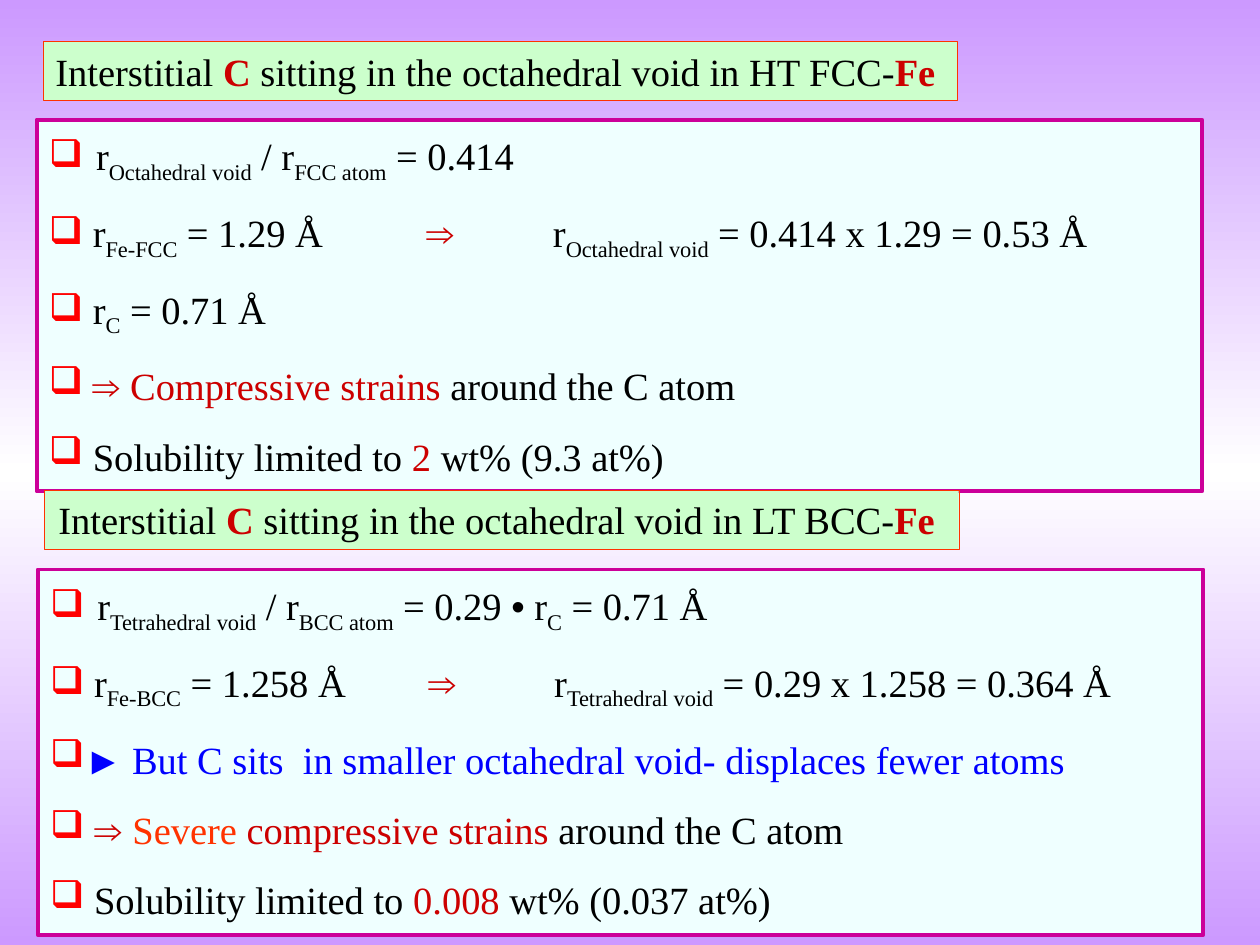
from copy import deepcopy

from lxml import etree
from pptx import Presentation
from pptx.dml.color import RGBColor
from pptx.enum.shapes import MSO_SHAPE
from pptx.enum.text import MSO_ANCHOR, MSO_AUTO_SIZE, PP_ALIGN
from pptx.oxml.ns import qn
from pptx.util import Inches, Pt

RECTANGLE = MSO_SHAPE.RECTANGLE
TOP = MSO_ANCHOR.TOP
GROW = MSO_AUTO_SIZE.SHAPE_TO_FIT_TEXT
CENTER, LEFT = PP_ALIGN.CENTER, PP_ALIGN.LEFT

THEME = {
    "background": [(0, "CC99FF"), (0.5, "FFFFFF"), (1, "CC99FF")],
    "title_fill": "CCFFCC", "title_line": "FF3300",
    "facts_fill": "EFFFFF", "facts_line": "CC0099",
    "bullet": "FF0000",
    "text": "000000", "red": "CC0000", "orange": "FF3300", "blue": "0000FF",
    "font": "Times New Roman", "symbol_font": "Arial", "lead_font": "Comic Neue",
    "size": Pt(22), "gap": Pt(13.8),
}

# Run styles: what differs from plain black text
PLAIN = {}
SUB = {"subscript": True}
RED = {"color": "red"}
BOLD_RED = {"color": "red", "bold": True}
ORANGE = {"color": "orange"}
BLUE = {"color": "blue"}
ARROW = {"color": "red", "font": "symbol_font"}
DOT = {"font": "symbol_font"}
LEAD = {"font": "lead_font"}


def title(phase):
    return [("Interstitial ", PLAIN), ("C ", BOLD_RED),
            (f"sitting in the octahedral void in {phase}-", PLAIN), ("Fe ", BOLD_RED)]


def ratio(void, atom, value):
    return [(" ", LEAD), ("r", PLAIN), (void, SUB), (" / r", PLAIN),
            (atom, SUB), (f" = {value}", PLAIN)]


def void_radius(iron, radius, void, result):
    return [(" r", PLAIN), (iron, SUB), (f" = {radius} Å \t", PLAIN), ("⇒ \t", ARROW),
            ("r", PLAIN), (void, SUB), (f" = {result} Å", PLAIN)]


def solubility(weight, atomic):
    return [(" Solubility limited to ", PLAIN), (weight, RED),
            (f" wt% ({atomic} at%)", PLAIN)]


CARBON_RADIUS = [(" r", PLAIN), ("C", SUB), (" = 0.71 Å", PLAIN)]
AROUND = ("around the C atom", PLAIN)

# Each section: title and its box, facts and their box (left, top, width, height)
SECTIONS = [
    {
        "title": title("HT FCC"), "title_box": (0.34, 0.33, 7.26, 0.47),
        "facts_box": (0.29, 0.95, 9.25, 2.95),
        "facts": [
            ratio("Octahedral void", "FCC atom", "0.414"),
            void_radius("Fe-FCC", "1.29", "Octahedral void", "0.414 x 1.29 = 0.53"),
            CARBON_RADIUS,
            [(" ", PLAIN), ("⇒", ARROW), (" Compressive strains ", RED), AROUND],
            solubility("2", "9.3"),
        ],
    },
    {
        "title": title("LT BCC"), "title_box": (0.35, 3.89, 7.26, 0.47),
        "facts_box": (0.3, 4.52, 9.25, 2.9),
        "facts": [
            ratio("Tetrahedral void", "BCC atom", "0.29 ") + [("•", DOT)] + CARBON_RADIUS,
            void_radius("Fe-BCC", "1.258", "Tetrahedral void", "0.29 x 1.258 = 0.364"),
            [("► But C sits  in smaller octahedral void- displaces fewer atoms", BLUE)],
            [(" ", PLAIN), ("⇒ ", ARROW), ("Severe", ORANGE),
             (" compressive strains ", RED), AROUND],
            solubility("0.008", "0.037"),
        ],
    },
]


def rgb(name):
    return RGBColor.from_string(THEME[name])


def paint_background(slide):
    fill = slide.background.fill
    fill.gradient()
    fill.gradient_angle = 90
    stops = slide.element.find(".//" + qn("a:gsLst"))
    stops.append(deepcopy(stops[-1]))
    for stop, (position, color) in zip(fill.gradient_stops, THEME["background"]):
        stop.position = position
        stop.color.rgb = RGBColor.from_string(color)


def add_panel(slide, box, kind, line_width, inset):
    panel = slide.shapes.add_shape(RECTANGLE, *map(Inches, box))
    panel.shadow.inherit = False
    panel.fill.solid()
    panel.fill.fore_color.rgb = rgb(f"{kind}_fill")
    panel.line.color.rgb = rgb(f"{kind}_line")
    panel.line.width = Pt(line_width)
    frame = panel.text_frame
    frame.vertical_anchor = TOP
    frame.auto_size = GROW
    frame.margin_left = frame.margin_right = Inches(0.1)
    frame.margin_top = frame.margin_bottom = Inches(inset)
    return frame


def write_runs(paragraph, runs):
    paragraph.font.size = THEME["size"]
    for text, style in runs:
        run = paragraph.add_run()
        run.text = text
        run.font.name = THEME[style.get("font", "font")]
        run.font.color.rgb = rgb(style.get("color", "text"))
        if style.get("bold"):
            run.font.bold = True
        if style.get("subscript"):
            run.font._element.set("baseline", "-25000")


def add_bullet_and_tabs(paragraph):
    properties = paragraph._p.get_or_add_pPr()
    bullet_color = etree.SubElement(properties, qn("a:buClr"))
    etree.SubElement(bullet_color, qn("a:srgbClr"), val=THEME["bullet"])
    etree.SubElement(properties, qn("a:buChar"), char="❑")
    tabs = etree.SubElement(properties, qn("a:tabLst"))
    for inch in range(1, 9):
        etree.SubElement(tabs, qn("a:tab"), pos=str(Inches(inch)), algn="l")


def main():
    deck = Presentation()
    deck.slide_width, deck.slide_height = Inches(10), Inches(7.5)
    slide = deck.slides.add_slide(deck.slide_layouts[6])
    paint_background(slide)

    for section in SECTIONS:
        # Facts
        frame = add_panel(slide, section["facts_box"], "facts", 2.25, 0.1)
        frame.word_wrap = True
        for index, runs in enumerate(section["facts"]):
            fact = frame.add_paragraph() if index else frame.paragraphs[0]
            fact.alignment = LEFT
            fact.space_after = THEME["gap"]
            add_bullet_and_tabs(fact)
            write_runs(fact, runs)

        # Title
        frame = add_panel(slide, section["title_box"], "title", 0.25, 0.05)
        frame.word_wrap = False
        heading = frame.paragraphs[0]
        heading.alignment = CENTER
        heading.space_before = THEME["gap"]
        write_runs(heading, section["title"])

    deck.save("out.pptx")


if __name__ == "__main__":
    main()
